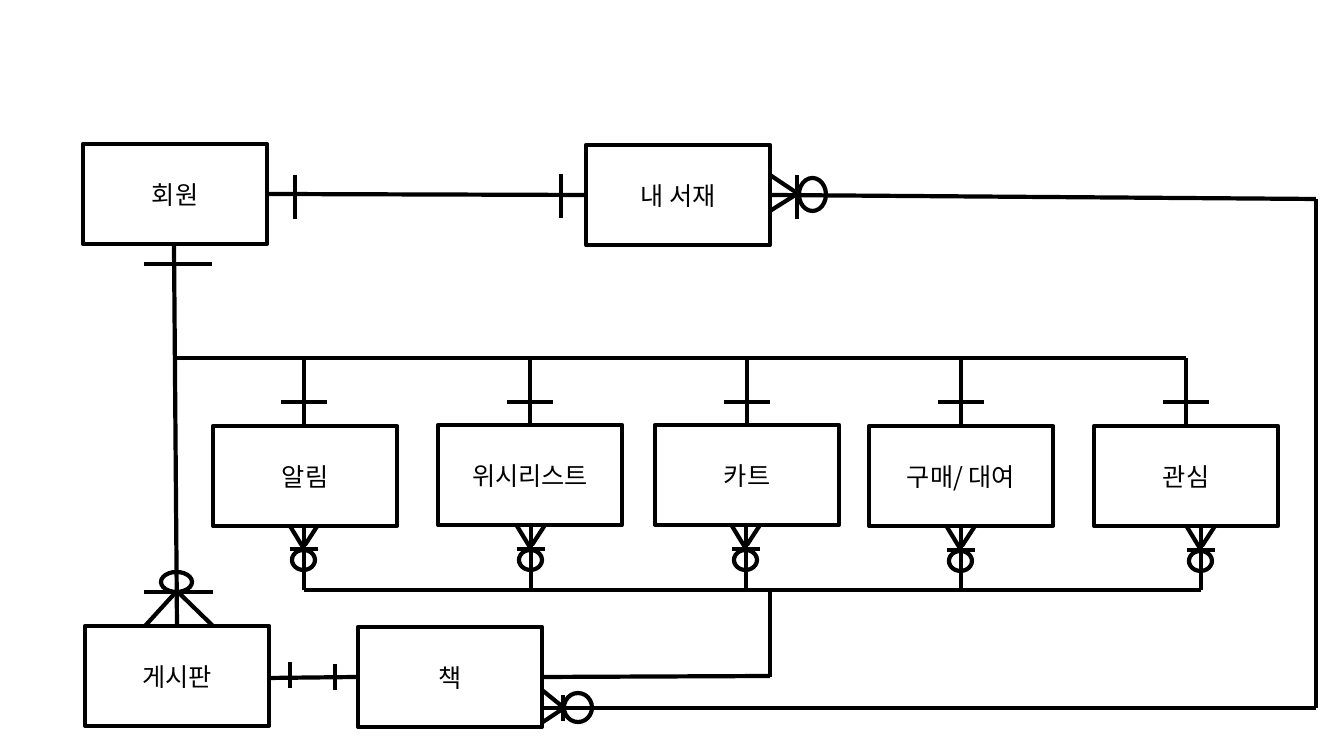
from dataclasses import dataclass
from lxml import etree
from pptx import Presentation
from pptx.dml.color import RGBColor
from pptx.enum.shapes import MSO_CONNECTOR, MSO_SHAPE
from pptx.enum.text import MSO_ANCHOR, PP_ALIGN
from pptx.oxml.ns import qn
from pptx.util import Emu, Pt

RECT, OVAL = MSO_SHAPE.RECTANGLE, MSO_SHAPE.OVAL
STRAIGHT = MSO_CONNECTOR.STRAIGHT
MIDDLE, CENTER = MSO_ANCHOR.MIDDLE, PP_ALIGN.CENTER
SCALE = 914400 / 100.8


@dataclass
class Theme:
    ink: RGBColor = RGBColor(0, 0, 0)
    font: str = "Noto Sans CJK KR"
    size: Pt = Pt(18)
    stroke: Pt = Pt(3)


theme = Theme()
deck = Presentation()
deck.slide_width, deck.slide_height = Emu(round(1344 * SCALE)), Emu(round(756 * SCALE))
slide = deck.slides.add_slide(deck.slide_layouts[6])


def add_node(kind, left, top, width, height, label=""):
    node = slide.shapes.add_shape(kind, *[Emu(round(n * SCALE)) for n in (left, top, width, height)])
    node.shadow.inherit = False
    node.fill.background()
    node.line.color.rgb = theme.ink
    node.line.width = theme.stroke
    if label:
        frame = node.text_frame
        frame.vertical_anchor = MIDDLE
        para = frame.paragraphs[0]
        para.text = label
        para.alignment = CENTER
        para.font.name = theme.font
        para.font.size = theme.size
        para.font.color.rgb = theme.ink


def add_line(*ends):
    line = slide.shapes.add_connector(STRAIGHT, *[Emu(round(n * SCALE)) for n in ends])
    line.line.color.rgb = theme.ink
    line.line.width = theme.stroke
    etree.SubElement(line._element.spPr, qn("a:effectLst"))


BOX_W, BOX_H = 184, 100
RAIL_TOP, RAIL_LOW, TICK_Y = 358, 590, 402

tables = [
    ("회원", 83, 144),
    ("내 서재", 586, 145),
    ("게시판", 85, 626),
    ("책", 358, 627),
]
for name, left, top in tables:
    add_node(RECT, left, top, BOX_W, BOX_H, name)

links = [
    (268, 194, 586, 195),
    (174, 244, 177, 626),
    (268, 678, 357, 677),
    (770, 195, 1316, 199),
    (1316, 199, 1316, 708),
    (1316, 708, 542, 708),
    (542, 677, 770, 676),
    (770, 677, 770, 591),
    (175, RAIL_TOP, 1186, RAIL_TOP),
    (304, RAIL_LOW, 1201, RAIL_LOW),
]
ticks = [
    (295, 175, 295, 219),
    (561, 174, 561, 218),
    (290, 662, 290, 688),
    (335, 664, 335, 690),
    (144, 264, 212, 264),
]
shelf_foot = [(797, 175, 797, 219), (797, 193, 770, 175), (797, 194, 770, 211)]
board_foot = [(144, 592, 213, 592), (176, 592, 145, 626), (178, 592, 213, 626)]
book_foot = [(563, 695, 563, 721), (563, 707, 542, 690), (564, 708, 543, 722)]
for ends in links + ticks + shelf_foot + board_foot + book_foot:
    add_line(*ends)

for ring in [(799, 178, 27, 33), (161, 572, 31, 20), (564, 693, 28, 29)]:
    add_node(OVAL, *ring)

columns = [
    ("알림", 213, 426, 304, 304, 549),
    ("위시리스트", 438, 425, 530, 531, 549),
    ("카트", 655, 425, 747, 746, 549),
    ("구매/ 대여", 869, 426, 961, 961, 550),
    ("관심", 1094, 426, 1186, 1201, 550),
]
for name, left, top, stem, foot, bar in columns:
    add_node(RECT, left, top, BOX_W, BOX_H, name)
    add_line(stem, RAIL_TOP, stem, top)
    add_line(stem - 23, TICK_Y, stem + 23, TICK_Y)
    add_line(foot, top + BOX_H, foot, RAIL_LOW)
    add_line(foot - 14, bar, foot + 14, bar)
    add_line(foot, bar, foot - 14, bar - 23)
    add_line(foot + 1, bar - 4, foot + 14, bar - 24)
    add_node(OVAL, foot - 12, bar + 1, 23, 20)

deck.save("out.pptx")
